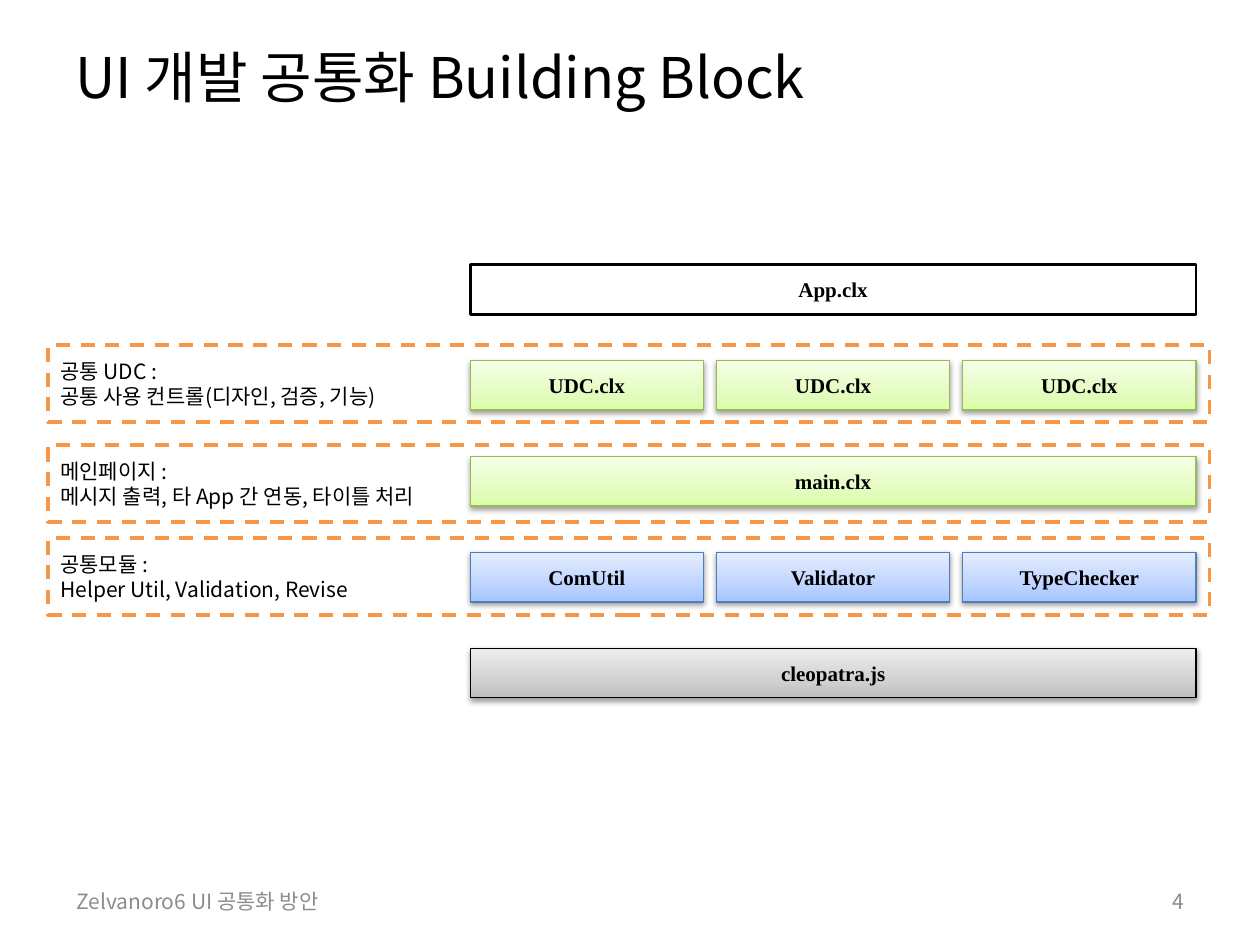
from lxml.etree import SubElement
from pptx import Presentation
from pptx.dml.color import RGBColor
from pptx.enum.dml import MSO_LINE
from pptx.enum.shapes import MSO_SHAPE as Shape
from pptx.enum.text import MSO_ANCHOR as Anchor, MSO_AUTO_SIZE as AutoSize, PP_ALIGN as Align
from pptx.oxml.ns import qn
from pptx.util import Pt

SANS, SERIF = "Noto Sans CJK KR", "Times New Roman"


def color(value):
    return RGBColor.from_string(value)


def write(box, lines, align=Align.LEFT, inset=None, ink="000000", **font):
    frame = box.text_frame
    settings = dict(word_wrap=True, auto_size=AutoSize.NONE, vertical_anchor=Anchor.MIDDLE)
    if inset is not None:
        settings.update(dict.fromkeys(
            ("margin_left", "margin_top", "margin_right", "margin_bottom"), Pt(inset)))
    for name, value in settings.items():
        setattr(frame, name, value)
    for i, line in enumerate(lines):
        para = frame.paragraphs[0] if i == 0 else frame.add_paragraph()
        para.alignment = align
        span = para.add_run()
        span.text = line
        for name, value in {"name": SANS, "size": Pt(12), **font}.items():
            setattr(span.font, name, value)
        span.font.color.rgb = color(ink)
        SubElement(span.font._element, qn("a:ea"), typeface=span.font.name)


deck = Presentation()
deck.slide_width, deck.slide_height = Pt(720), Pt(540)
page = deck.slides.add_slide(deck.slide_layouts[5])

# Dashed frames with their descriptions
frames = [
    (197.3, ["공통 UDC :", "공통 사용 컨트롤(디자인, 검증, 기능)"]),
    (254.2, ["메인페이지 :", "메시지 출력, 타 App 간 연동, 타이틀 처리"]),
    (307.4, ["공통모듈 :", "Helper Util, Validation, Revise"]),
]
for top, lines in frames:
    box = page.shapes.add_shape(Shape.RECTANGLE, Pt(27.4), Pt(top), Pt(663.8), Pt(44))
    box.shadow.inherit = False
    box.fill.solid()
    box.fill.fore_color.rgb = color("FFFFFF")
    box.line.color.rgb = color("F79646")
    box.line.width = Pt(2)
    box.line.dash_style = MSO_LINE.DASH
    write(box, lines)

# Title
title = page.shapes.title
title.left, title.top, title.width, title.height = Pt(36), Pt(21.6), Pt(648), Pt(44)
write(title, ["UI 개발 공통화 Building Block"], size=Pt(32))

# Footer and page number
for left, width, text, align in [
    (36.7, 437, "Zelvanoro6 UI 공통화 방안", Align.LEFT),
    (516.2, 167.8, "4", Align.RIGHT),
]:
    box = page.shapes.add_textbox(Pt(left), Pt(500.4), Pt(width), Pt(28.8))
    write(box, [text], align, ink="8C8C8C")

# Building blocks: one row per layer, split evenly across the stack
GREEN = ("98B955", ["DAFDA7", "E4FCC2", "F5FFE7"])
BLUE = ("4B7EBC", ["A4C4FF", "BFD4FF", "E6EEFF"])
GRAY = ("000000", ["BDBDBD", "D1D1D1", "EEEEEE"])
WHITE = ("000000", None)
layers = [
    (WHITE, ["App.clx"]),
    (GREEN, ["UDC.clx"] * 3),
    (GREEN, ["main.clx"]),
    (BLUE, ["ComUtil", "Validator", "TypeChecker"]),
    (GRAY, ["cleopatra.js"]),
]
STACK_LEFT, STACK_TOP, STACK_WIDTH = 268.7, 151.2, 414.8
ROW_STEP, BLOCK_HEIGHT, GAP = 54.8, 28.4, 7.4

for row, ((edge, stops), names) in enumerate(layers):
    width = (STACK_WIDTH - GAP * (len(names) - 1)) / len(names)
    for column, name in enumerate(names):
        block = page.shapes.add_shape(
            Shape.RECTANGLE, Pt(STACK_LEFT + column * (width + GAP)),
            Pt(STACK_TOP + row * ROW_STEP), Pt(width), Pt(BLOCK_HEIGHT))
        block.shadow.inherit = False
        block.line.color.rgb = color(edge)
        block.line.width = Pt(0.75 if stops else 1.5)
        write(block, [name], Align.CENTER, inset=2.9, name=SERIF, bold=True)
        if not stops:
            block.fill.solid()
            block.fill.fore_color.rgb = color("FFFFFF")
            continue

        # Three-stop gradient, darkest at the bottom
        block.fill.gradient()
        block.fill.gradient_angle = 90
        props = block._element.spPr
        stop_list = props.find(".//" + qn("a:gsLst"))
        stop_list.clear()
        for position, value in zip((0, 35, 100), stops):
            stop = SubElement(stop_list, qn("a:gs"), pos=str(position * 1000))
            SubElement(stop, qn("a:srgbClr"), val=value)

        # Soft shadow below
        shadow = SubElement(props.find(qn("a:effectLst")), qn("a:outerShdw"),
                            blurRad=str(Pt(3.1)), dist=str(Pt(1.6)),
                            dir="5400000", rotWithShape="0")
        tint = SubElement(shadow, qn("a:srgbClr"), val="000000")
        SubElement(tint, qn("a:alpha"), val="38000")

deck.save("out.pptx")
